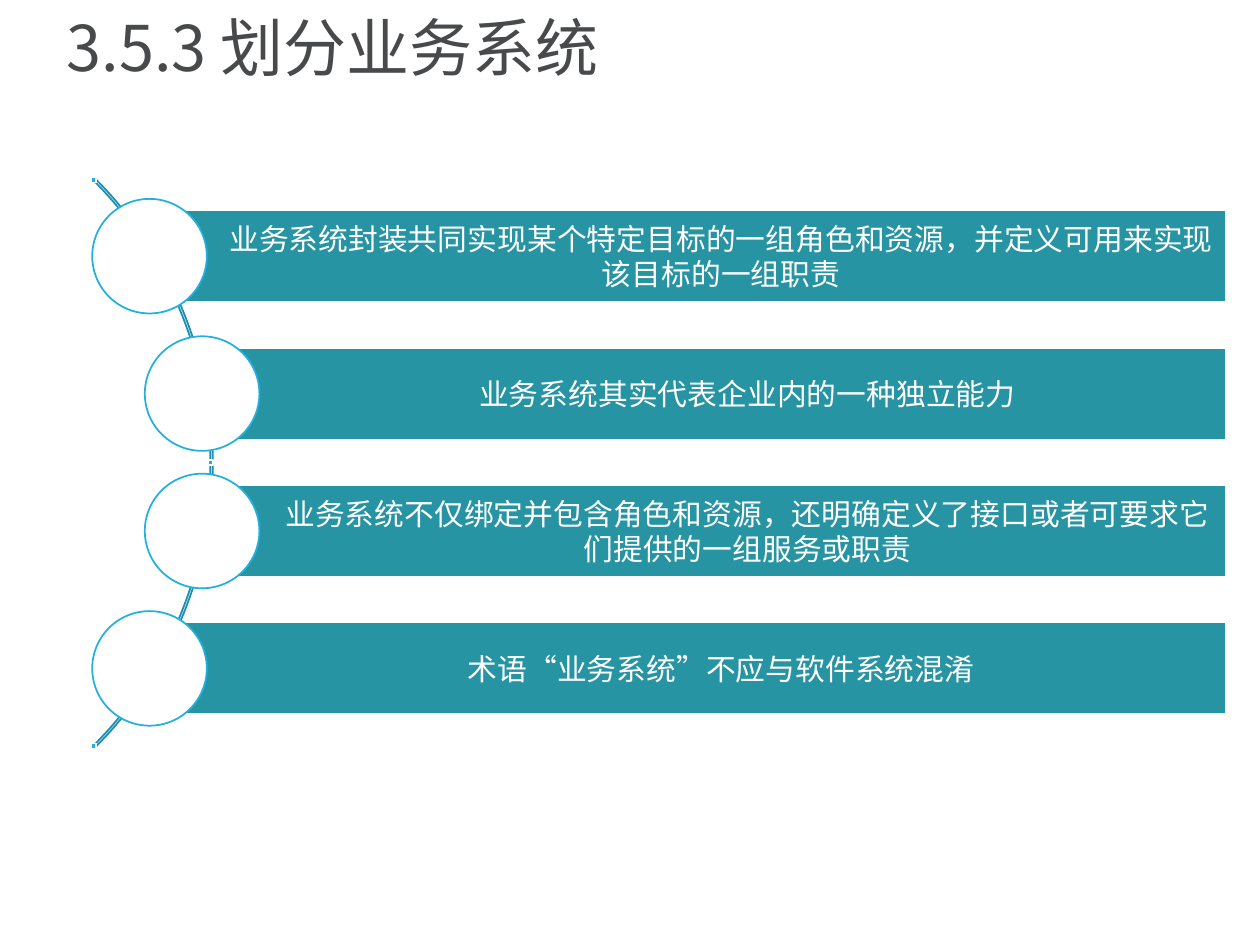
"""Build the slide on dividing business systems."""
import pptx
import pptx.dml.color
import pptx.enum.shapes
import pptx.enum.text
import pptx.oxml.ns
import pptx.util
import lxml.etree

Cm, Pt = pptx.util.Cm, pptx.util.Pt
SHAPE = pptx.enum.shapes.MSO_SHAPE
ALIGN = pptx.enum.text.PP_ALIGN
MIDDLE = pptx.enum.text.MSO_ANCHOR.MIDDLE
TEAL = pptx.dml.color.RGBColor(0x27, 0x94, 0xA4)
CYAN = pptx.dml.color.RGBColor(0x22, 0xB1, 0xDE)
BLUE = pptx.dml.color.RGBColor(0x1B, 0x8E, 0xB2)
GREY = pptx.dml.color.RGBColor(0x47, 0x49, 0x4B)
WHITE = pptx.dml.color.RGBColor(0xFF, 0xFF, 0xFF)

POINTS = [
    (0, "业务系统封装共同实现某个特定目标的一组角色和资源，并定义可用来实现该目标的一组职责"),
    (1.06, "业务系统其实代表企业内的一种独立能力"),
    (1.06, "业务系统不仅绑定并包含角色和资源，还明确定义了接口或者可要求它们提供的一组服务或职责"),
    (0, "术语“业务系统”不应与软件系统混淆"),
]


def add_shape(kind, left, top, width, height, fill, line):
    sp = s.shapes.add_shape(kind, Cm(left), Cm(top), Cm(width), Cm(height))
    sp.shadow.inherit = False
    if fill is None:
        sp.fill.background()
    else:
        sp.fill.solid()
        sp.fill.fore_color.rgb = fill
    sp.line.color.rgb = line
    sp.line.width = Pt(1)
    return sp


def format_text(p, text, latin, size, color, align):
    r = p.add_run()
    r.text = text
    ea = lxml.etree.SubElement(r._r.get_or_add_rPr(), pptx.oxml.ns.qn("a:ea"))
    ea.set("typeface", "Noto Sans CJK SC")
    p.alignment = align
    p.font.name = latin
    p.font.size = Pt(size)
    p.font.color.rgb = color


prs = pptx.Presentation()
prs.slide_width, prs.slide_height = Cm(25.4), Cm(19.05)
s = prs.slides.add_slide(prs.slide_layouts[5])

title = s.shapes.title
title.left, title.top, title.width, title.height = Cm(1.09), Cm(0.15), Cm(22.99), Cm(1.78)
tf = title.text_frame
tf.vertical_anchor = MIDDLE
p = tf.paragraphs[0]
p.line_spacing = 0.9
p.space_after = Pt(13)
format_text(p, "3.5.3 划分业务系统", "Noto Sans CJK SC", 36, GREY, ALIGN.LEFT)

arc = add_shape(SHAPE.BLOCK_ARC, -11.94, 1.22, 16.23, 16.23, None, BLUE)
for i, value in enumerate((189, 27, 0.003)):
    arc.adjustments[i] = value

for i, (indent, text) in enumerate(POINTS):
    top = 4.24 + 2.77 * i
    bar = add_shape(SHAPE.RECTANGLE, 3.02 + indent, top, 21.69 - indent, 1.85, TEAL, WHITE)
    tf = bar.text_frame
    tf.word_wrap = True
    tf.vertical_anchor = MIDDLE
    tf.margin_left = Cm(1.47)
    tf.margin_top = tf.margin_right = tf.margin_bottom = Cm(0.12)
    format_text(tf.paragraphs[0], text, "Calibri", 17, WHITE, ALIGN.CENTER)
    add_shape(SHAPE.OVAL, 1.86 + indent, top - 0.23, 2.31, 2.31, WHITE, CYAN)

for left, top in ((1.83, 3.58), (4.19, 9.27), (1.83, 14.99)):
    add_shape(SHAPE.RECTANGLE, left, top, 0.1, 0.1, CYAN, WHITE)

prs.save("out.pptx")
